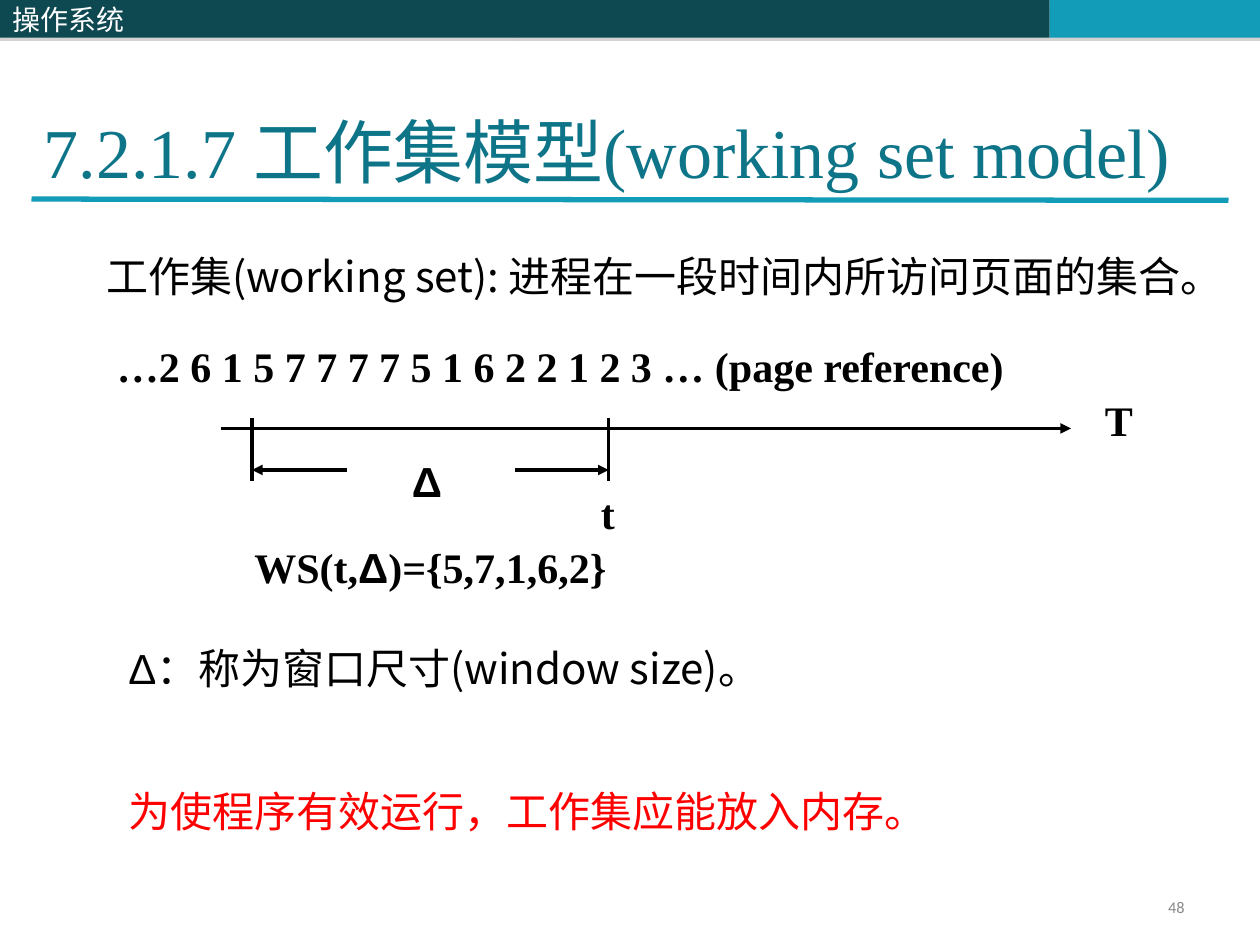
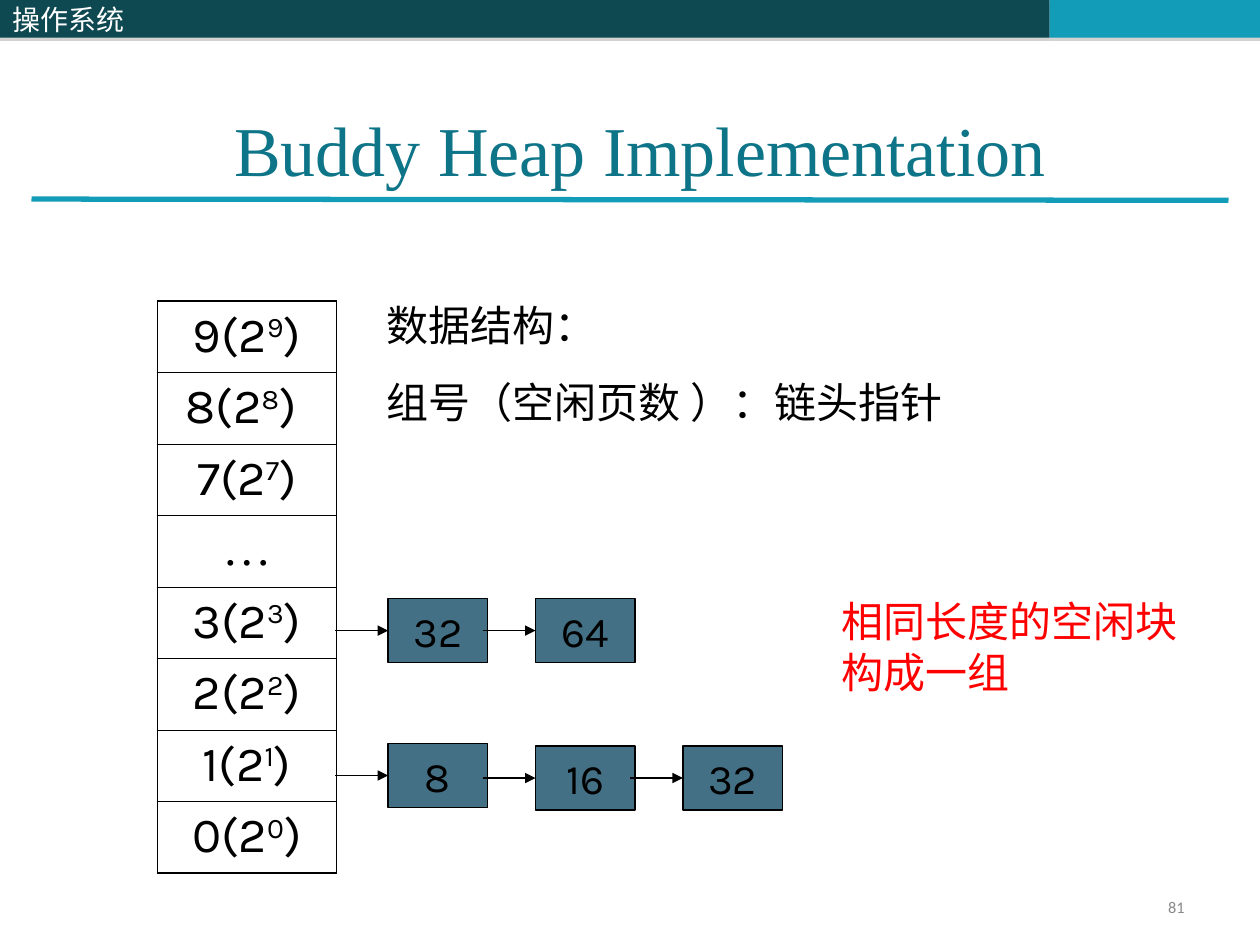
from lxml.etree import SubElement
from pptx import Presentation
from pptx.dml.color import RGBColor
from pptx.enum.shapes import MSO_CONNECTOR, MSO_SHAPE
from pptx.enum.text import MSO_ANCHOR, MSO_AUTO_SIZE, PP_ALIGN
from pptx.oxml.ns import qn
from pptx.util import Inches, Pt

BLACK = RGBColor(0x00, 0x00, 0x00)
WHITE = RGBColor(0xFF, 0xFF, 0xFF)
RED = RGBColor(0xFF, 0x00, 0x00)
GREY = RGBColor(0x89, 0x89, 0x89)
DARK_TEAL = RGBColor(0x0E, 0x48, 0x51)
BRIGHT_TEAL = RGBColor(0x13, 0x9C, 0xB7)
TITLE_TEAL = RGBColor(0x0E, 0x75, 0x89)
NODE_BLUE = RGBColor(0x43, 0x70, 0x85)

CJK, SERIF, SANS, KARLA = "Noto Sans CJK SC", "Times New Roman", "Arial", "Karla"

BODY = {"name": CJK, "size": Pt(24), "color": BLACK}
WARNING = BODY | {"color": RED}
DELTA = BODY | {"name": SANS}
LABEL = BODY | {"name": SERIF, "bold": True}
DELTA_LABEL = LABEL | {"name": SANS}
TITLE = {"name": SERIF, "size": Pt(40), "color": TITLE_TEAL}
COURSE = {"name": CJK, "size": Pt(16), "color": WHITE}
PAGE_NUMBER = {"name": "Calibri", "size": Pt(9.3), "color": GREY}
NODE = {"name": KARLA, "size": Pt(24), "color": BLACK}
GROUP = {"name": KARLA, "size": Pt(28), "color": BLACK}

CENTERED = {"alignment": PP_ALIGN.CENTER}
MIDDLE = {"vertical_anchor": MSO_ANCHOR.MIDDLE}


def add_run(paragraph, text, font_format, raised=False):
    run = paragraph.add_run()
    run.text = text
    for key, value in font_format.items():
        if key == "color":
            run.font.color.rgb = value
        else:
            setattr(run.font, key, value)
    properties = run._r.get_or_add_rPr()
    SubElement(properties, qn("a:ea"), typeface=CJK)
    if raised:
        properties.set("baseline", "30000")


def write(frame, paragraphs, layout=None, frame_format=None):
    """Fill a text frame; each paragraph is a list of (text, font format)."""
    frame.word_wrap = True
    for key, value in (frame_format or {}).items():
        setattr(frame, key, value)
    for index, runs in enumerate(paragraphs):
        paragraph = frame.add_paragraph() if index else frame.paragraphs[0]
        for key, value in (layout or {}).items():
            setattr(paragraph, key, value)
        for text, font_format in runs:
            add_run(paragraph, text, font_format)


def add_text(slide, box, paragraphs, layout=None, frame_format=None):
    frame = slide.shapes.add_textbox(*map(Inches, box)).text_frame
    write(frame, paragraphs, layout, frame_format)
    return frame


def add_note(slide, box, *paragraphs):
    return add_text(slide, box, paragraphs,
                    frame_format={"auto_size": MSO_AUTO_SIZE.SHAPE_TO_FIT_TEXT})


def add_rectangle(slide, box, color):
    rectangle = slide.shapes.add_shape(MSO_SHAPE.RECTANGLE, *map(Inches, box))
    rectangle.shadow.inherit = False
    rectangle.fill.solid()
    rectangle.fill.fore_color.rgb = color
    rectangle.line.fill.background()
    return rectangle


def add_line(slide, start, end, width, color=BLACK, arrow=False):
    line = slide.shapes.add_connector(
        MSO_CONNECTOR.STRAIGHT, *map(Inches, (*start, *end)))
    line.line.color.rgb = color
    line.line.width = Pt(width)
    if arrow:
        SubElement(line.line._get_or_add_ln(), qn("a:tailEnd"), type="triangle")
    SubElement(line._element.spPr, qn("a:effectLst"))
    return line


def add_band(slide, left, width, color):
    band = add_rectangle(slide, (left, 0, width, 0.3), color)
    effects = band._element.spPr.find(qn("a:effectLst"))
    shadow = SubElement(effects, qn("a:outerShdw"), dist=str(Pt(1.8)),
                        dir="5400000", rotWithShape="0")
    tint = SubElement(shadow, qn("a:srgbClr"), val="808080")
    SubElement(tint, qn("a:alpha"), val="35000")
    return band


def add_frame(slide, page):
    """Header bands, title rule and page number shared by all slides."""
    add_band(slide, 4.08, 4.25, DARK_TEAL)
    add_band(slide, 8.33, 1.67, BRIGHT_TEAL)
    add_line(slide, (0.25, 1.58), (9.75, 1.59), 3, BRIGHT_TEAL)
    course_band = add_band(slide, 0, 4.08, DARK_TEAL)
    write(course_band.text_frame, [[("操作系统", COURSE)]],
          {"alignment": PP_ALIGN.LEFT}, MIDDLE)
    add_text(slide, (7.17, 7.08, 2.33, 0.27), [[(page, PAGE_NUMBER)]],
             {"alignment": PP_ALIGN.RIGHT, "line_spacing": 0.8}, MIDDLE)


def add_timeline(slide, left, top):
    """Time axis with the window Δ marked between two ticks."""
    window_start, window_end = left + 0.25, left + 3.08
    axis, window = top + 0.08, top + 0.41
    add_line(slide, (left, axis), (left + 6.75, axis), 2, arrow=True)
    for tick in (window_start, window_end):
        add_line(slide, (tick, top), (tick, top + 0.5), 1.75)
    for tail, tick in ((window_start + 0.75, window_start),
                       (window_end - 0.74, window_end)):
        add_line(slide, (tail, window), (tick, window), 2, arrow=True)
    add_note(slide, (left + 1.42, top + 0.25, 0.58, 0.5), [("Δ", DELTA_LABEL)])
    add_note(slide, (left + 2.92, top + 0.5, 0.5, 0.5), [("t", LABEL)])
    add_note(slide, (left + 6.92, top - 0.24, 0.58, 0.5), [("T", LABEL)])


def build_working_set(slide):
    add_frame(slide, "48")
    add_text(slide, (0.25, 0.33, 9.5, 1.25),
             [[("7.2.1.7 工作集模型(working set model)", TITLE)]],
             frame_format={"vertical_anchor": MSO_ANCHOR.BOTTOM})
    add_note(slide, (0.67, 1.94, 9.33, 0.9),
             [(" 工作集(working set): 进程在一段时间内所访问页面的集合。", BODY)])
    add_note(slide, (0.83, 2.65, 8.42, 0.5),
             [("…2 6 1 5 7 7 7 7 5 1 6 2 2 1 2 3 … (page reference)", LABEL)])
    add_timeline(slide, 1.75, 3.32)
    add_note(slide, (1.92, 4.25, 3, 0.5),
             [("WS(t,", LABEL), ("Δ", DELTA_LABEL), (")={5,7,1,6,2}", LABEL)])
    conclusion = add_note(
        slide, (0.92, 5.05, 9.22, 1.72),
        [("Δ", DELTA), ("：称为窗口尺寸(window size)。", BODY)],
        [("为使程序有效运行，工作集应能放入内存。", WARNING)])
    conclusion.paragraphs[1].space_before = Pt(53)


def add_borders(cell, widths):
    properties = cell._tc.get_or_add_tcPr()
    for side, width in widths.items():
        border = SubElement(properties, qn(f"a:ln{side}"), w=str(Pt(width)))
        fill = SubElement(border, qn("a:solidFill"))
        SubElement(fill, qn("a:srgbClr"), val=str(BLACK))


def add_group_table(slide, box):
    groups = ["9", "8", "7", "…", "3", "2", "1", "0"]
    last = len(groups) - 1
    table = slide.shapes.add_table(len(groups), 1, *map(Inches, box)).table
    table.first_row = table.horz_banding = False
    for row, group in enumerate(groups):
        cell = table.cell(row, 0)
        add_borders(cell, {"L": 1.08, "R": 1.08,
                           "T": 0.45 if row else 1.08,
                           "B": 0.45 if row < last else 1.08})
        cell.fill.background()
        paragraph = cell.text_frame.paragraphs[0]
        paragraph.alignment = PP_ALIGN.CENTER
        if group == "…":
            add_run(paragraph, group, GROUP | {"name": SERIF})
        else:
            add_run(paragraph, f"{group}(2", GROUP)
            add_run(paragraph, group, GROUP, raised=True)
            add_run(paragraph, ") " if group == "8" else ")", GROUP)


def add_free_list(slide, left, blocks):
    """Chain of free blocks, each given as (first page, top)."""
    width, height, pitch, arrow_length = 0.79, 0.51, 1.17, 0.42
    for index, (first_page, top) in enumerate(blocks):
        node_left, middle = left + index * pitch, top + height / 2
        node = add_rectangle(slide, (node_left, top, width, height), NODE_BLUE)
        node.line.color.rgb = BLACK
        node.line.width = Pt(0.75)
        write(node.text_frame, [[(first_page, NODE)]], CENTERED,
              MIDDLE | {"word_wrap": False})
        link = add_line(slide, (node_left - arrow_length, middle),
                        (node_left, middle), 0.75, arrow=True)
        link.end_connect(node, 1)


def build_buddy_heap(slide):
    add_frame(slide, "81")
    add_group_table(slide, (1.25, 2.39, 1.42, 4.53))
    structure = add_note(slide, (2.97, 2.33, 6.08, 1.11),
                         [("数据结构：", BODY)],
                         [("组号（空闲页数 ）：链头指针", BODY)])
    structure.paragraphs[1].space_before = Pt(15)
    add_text(slide, (0.83, 0.6, 8.5, 1.15),
             [[("Buddy Heap Implementation", TITLE)]], CENTERED, MIDDLE)
    add_free_list(slide, 3.08, [("32", 4.75), ("64", 4.75)])
    add_free_list(slide, 3.08, [("8", 5.9), ("16", 5.92), ("32", 5.92)])
    add_note(slide, (6.58, 4.68, 2.92, 0.9),
             [("相同长度的空闲块构成一组", WARNING)])


def main():
    deck = Presentation()
    deck.slide_width, deck.slide_height = Inches(10), Inches(7.5)
    for build in (build_working_set, build_buddy_heap):
        build(deck.slides.add_slide(deck.slide_layouts[6]))
    deck.save("out.pptx")


if __name__ == "__main__":
    main()
